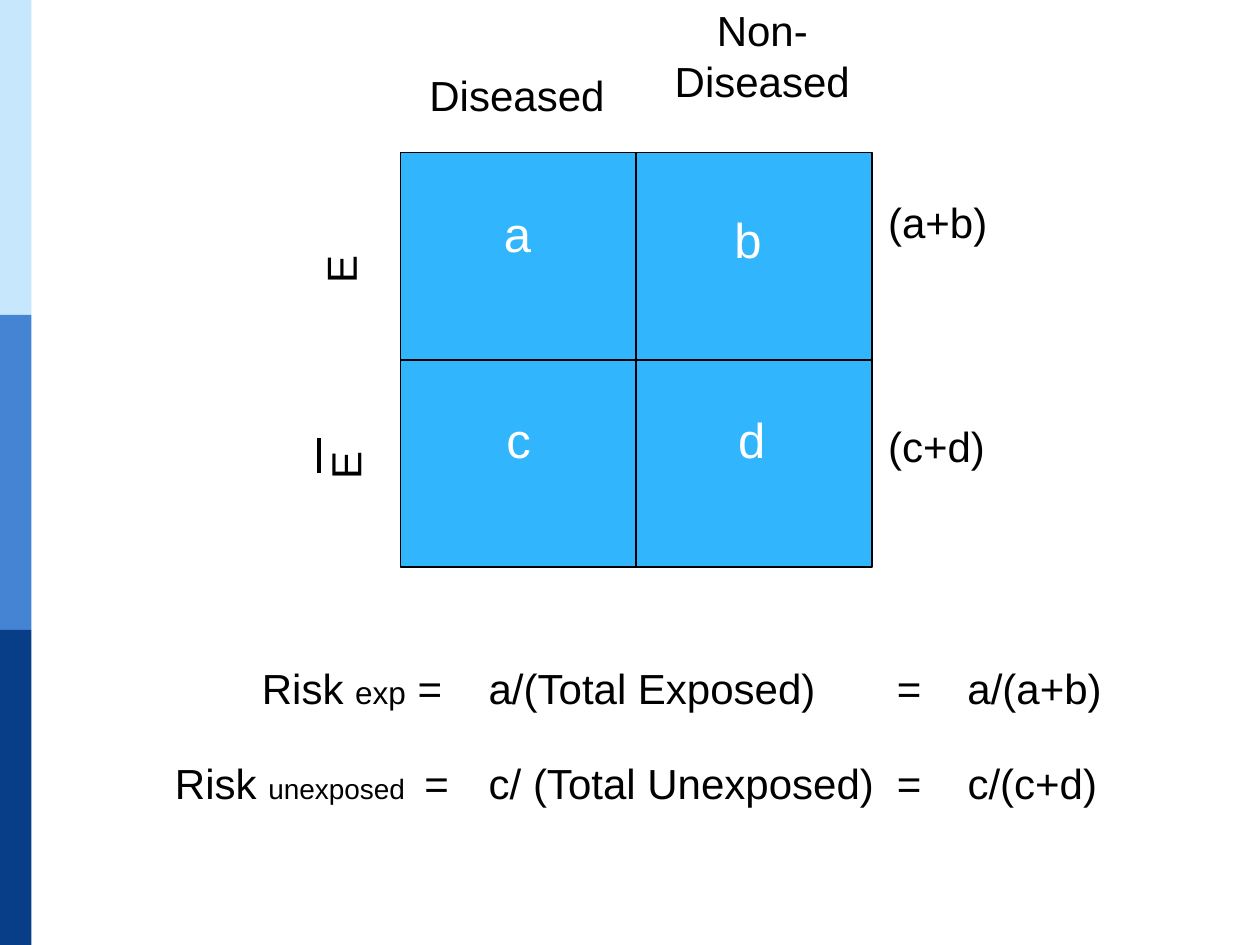
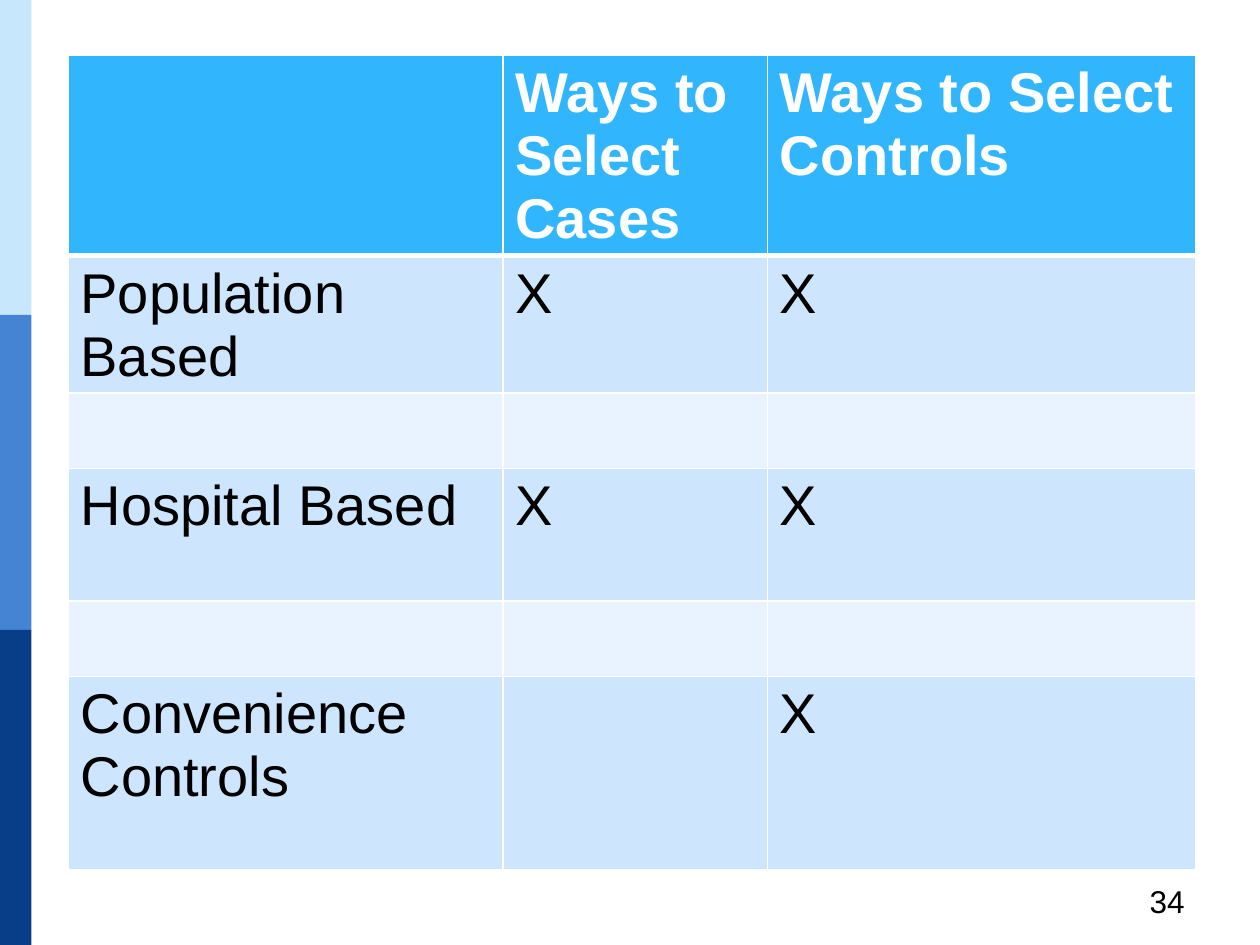
from dataclasses import dataclass
from typing import NamedTuple

from lxml import etree
from pptx import Presentation
from pptx.dml.color import RGBColor
from pptx.enum import shapes, text
from pptx.oxml import ns
from pptx.slide import Slide
from pptx.table import _Cell as Cell
from pptx.text.text import Font, _Paragraph as Paragraph
from pptx.util import Inches, Pt


@dataclass(frozen=True)
class Theme:
    font: str = "Arial"
    black: RGBColor = RGBColor.from_string("000000")
    white: RGBColor = RGBColor.from_string("FFFFFF")
    accent: RGBColor = RGBColor.from_string("31B6FD")
    band_dark: RGBColor = RGBColor.from_string("CEE5FE")
    band_light: RGBColor = RGBColor.from_string("E8F3FF")
    stripes: tuple[str, ...] = ("C6E7FC", "4584D3", "073E87")
    small: int = 16
    note: int = 18
    label: int = 24
    letter: int = 28
    table: int = 32
    table_line: int = 36


THEME = Theme()


class Label(NamedTuple):
    words: str
    left: float
    top: float
    width: float
    height: float = 0.5
    size: int = THEME.label
    color: RGBColor = THEME.black
    align: text.PP_ALIGN = text.PP_ALIGN.LEFT
    rotation: int = 0
    wrap: bool = True


class Equation(NamedTuple):
    subscript: str
    subscript_size: int
    terms: str
    left: float
    top: float
    width: float


# Risk table geometry
GRID_LEFT, GRID_TOP, GRID_WIDTH, GRID_HEIGHT = 3.18, 1.21, 3.74, 3.29
LABELS = [
    Label("E", 2.38, 1.78, 0.64, rotation=270),
    Label("E", 2.45, 3.37, 0.57, rotation=270),
    Label("Diseased", 3.31, 0.5, 2.04),
    Label("Non-Diseased", 5.03, -0.01, 2.04, 0.91, align=text.PP_ALIGN.CENTER),
    Label("(a+b)", 6.95, 1.51, 1, wrap=False),
    Label("(c+d)", 6.95, 3.29, 0.98, wrap=False),
] + [
    Label(letter, left, top, 0.48, 0.57, THEME.letter, THEME.white)
    for letter, left, top in [
        ("a", 3.9, 1.57), ("b", 5.73, 1.61), ("c", 3.92, 3.2), ("d", 5.76, 3.2)
    ]
]

# Both equations line up on these columns of the slide
EQUATION_COLUMNS = (3.88, 7.12, 7.68)
EQUATIONS = [
    Equation("unexposed ", THEME.small, " =\tc/ (Total Unexposed)\t=\tc/(c+d)", 1.29, 5.96, 7.61),
    Equation("exp", THEME.note, " =\ta/(Total Exposed)\t=\ta/(a+b)", 1.98, 5.21, 7.35),
]
INSET = 0.1

# Selection table
COLUMN_WIDTHS = (3.45, 2.1, 3.4)
ROW_HEIGHTS = (1.59, 1.09, 0.6, 1.05, 0.6, 1.53)
SELECTION_ROWS = [
    ("", "Ways to Select Cases", "Ways to Select Controls"),
    ("Population Based", "X", "X"),
    ("", "", ""),
    ("Hospital Based", "X", "X"),
    ("", "", ""),
    ("Convenience Controls", "", "X"),
]


def style_font(font: Font, size: int, color: RGBColor, bold: bool = False) -> None:
    font.name, font.size, font.bold = THEME.font, Pt(size), bold
    font.color.rgb = color


def add_rect(page: Slide, left: float, top: float, width: float, height: float,
             fill: RGBColor, outlined: bool = False) -> None:
    rect = page.shapes.add_shape(shapes.MSO_SHAPE.RECTANGLE, Inches(left), Inches(top),
                                 Inches(width), Inches(height))
    rect.shadow.inherit = False
    rect.fill.solid()
    rect.fill.fore_color.rgb = fill
    if outlined:
        rect.line.color.rgb, rect.line.width = THEME.black, Pt(1)
    else:
        rect.line.fill.background()


def add_line(page: Slide, start: tuple[float, float], end: tuple[float, float],
             width: float = 1) -> None:
    line = page.shapes.add_connector(shapes.MSO_CONNECTOR.STRAIGHT,
                                     *map(Inches, start + end))
    line.line.color.rgb, line.line.width = THEME.black, Pt(width)
    etree.SubElement(line._element.spPr, ns.qn("a:effectLst"))


def add_label(page: Slide, label: Label) -> Paragraph:
    box = page.shapes.add_textbox(Inches(label.left), Inches(label.top),
                                  Inches(label.width), Inches(label.height))
    box.rotation = label.rotation
    box.text_frame.word_wrap = label.wrap
    box.text_frame.auto_size = text.MSO_AUTO_SIZE.SHAPE_TO_FIT_TEXT
    para = box.text_frame.paragraphs[0]
    para.text, para.alignment = label.words, label.align
    style_font(para.font, label.size, label.color)
    return para


def add_equation(page: Slide, equation: Equation) -> None:
    para = add_label(page, Label("", equation.left, equation.top, equation.width))
    for words, size in (("Risk ", THEME.label),
                        (equation.subscript, equation.subscript_size),
                        (equation.terms, THEME.label)):
        span = para.add_run()
        span.text = words
        style_font(span.font, size, THEME.black)
    # Tab stops come before the default run properties
    props = para._p.get_or_add_pPr()
    tabs = etree.Element(ns.qn("a:tabLst"))
    props.insert(0, tabs)
    for column in EQUATION_COLUMNS:
        position = Inches(column - equation.left - INSET)
        etree.SubElement(tabs, ns.qn("a:tab"), pos=str(int(position)), algn="l")


def set_borders(cell: Cell, bottom: float) -> None:
    props = cell._tc.get_or_add_tcPr()
    for index, (side, width) in enumerate(
            (("lnL", 1), ("lnR", 1), ("lnT", 1), ("lnB", bottom))):
        edge = etree.Element(ns.qn(f"a:{side}"), w=str(int(Pt(width))))
        fill = etree.SubElement(edge, ns.qn("a:solidFill"))
        etree.SubElement(fill, ns.qn("a:srgbClr"), val=str(THEME.white))
        props.insert(index, edge)


def add_page(deck: Presentation) -> Slide:
    page = deck.slides.add_slide(deck.slide_layouts[6])
    for index, color in enumerate(THEME.stripes):
        add_rect(page, 0, 2.5 * index, 0.25, 2.5, RGBColor.from_string(color))
    return page


def build_risk_page(deck: Presentation) -> None:
    page = add_page(deck)
    # Two-by-two grid
    right, bottom = GRID_LEFT + GRID_WIDTH, GRID_TOP + GRID_HEIGHT
    middle_x, middle_y = GRID_LEFT + GRID_WIDTH / 2, GRID_TOP + GRID_HEIGHT / 2
    add_rect(page, GRID_LEFT, GRID_TOP, GRID_WIDTH, GRID_HEIGHT, THEME.accent, outlined=True)
    add_line(page, (middle_x, GRID_TOP), (middle_x, bottom))
    add_line(page, (GRID_LEFT, middle_y), (right, middle_y))
    for label in LABELS:
        add_label(page, label)
    # Bar over the second E
    add_line(page, (2.53, 3.75), (2.53, 3.48), 2.25)
    for equation in EQUATIONS:
        add_equation(page, equation)


def build_selection_page(deck: Presentation) -> None:
    page = add_page(deck)
    table = page.shapes.add_table(
        len(ROW_HEIGHTS), len(COLUMN_WIDTHS), Inches(0.54), Inches(0.44),
        Inches(sum(COLUMN_WIDTHS)), Inches(sum(ROW_HEIGHTS))).table
    for column, width in zip(table.columns, COLUMN_WIDTHS):
        column.width = Inches(width)
    for index, (row, height, words) in enumerate(
            zip(table.rows, ROW_HEIGHTS, SELECTION_ROWS)):
        row.height = Inches(height)
        header = index == 0
        band = THEME.band_dark if index % 2 else THEME.band_light
        for cell, entry in zip(row.cells, words):
            cell.fill.solid()
            cell.fill.fore_color.rgb = THEME.accent if header else band
            set_borders(cell, bottom=3 if header else 1)
            # Fixed line height and no bottom margin keep the rows from growing
            cell.margin_bottom = 0
            para = cell.text_frame.paragraphs[0]
            para.text, para.line_spacing = entry, Pt(THEME.table_line)
            style_font(para.font, THEME.table,
                       THEME.white if header else THEME.black, bold=header)
    # Page number
    add_label(page, Label("34", 7.17, 6.95, 2.33, 0.4, THEME.note,
                          align=text.PP_ALIGN.RIGHT))


def main() -> None:
    deck = Presentation()
    deck.slide_width, deck.slide_height = Inches(10), Inches(7.5)
    build_risk_page(deck)
    build_selection_page(deck)
    deck.save("out.pptx")


if __name__ == "__main__":
    main()
